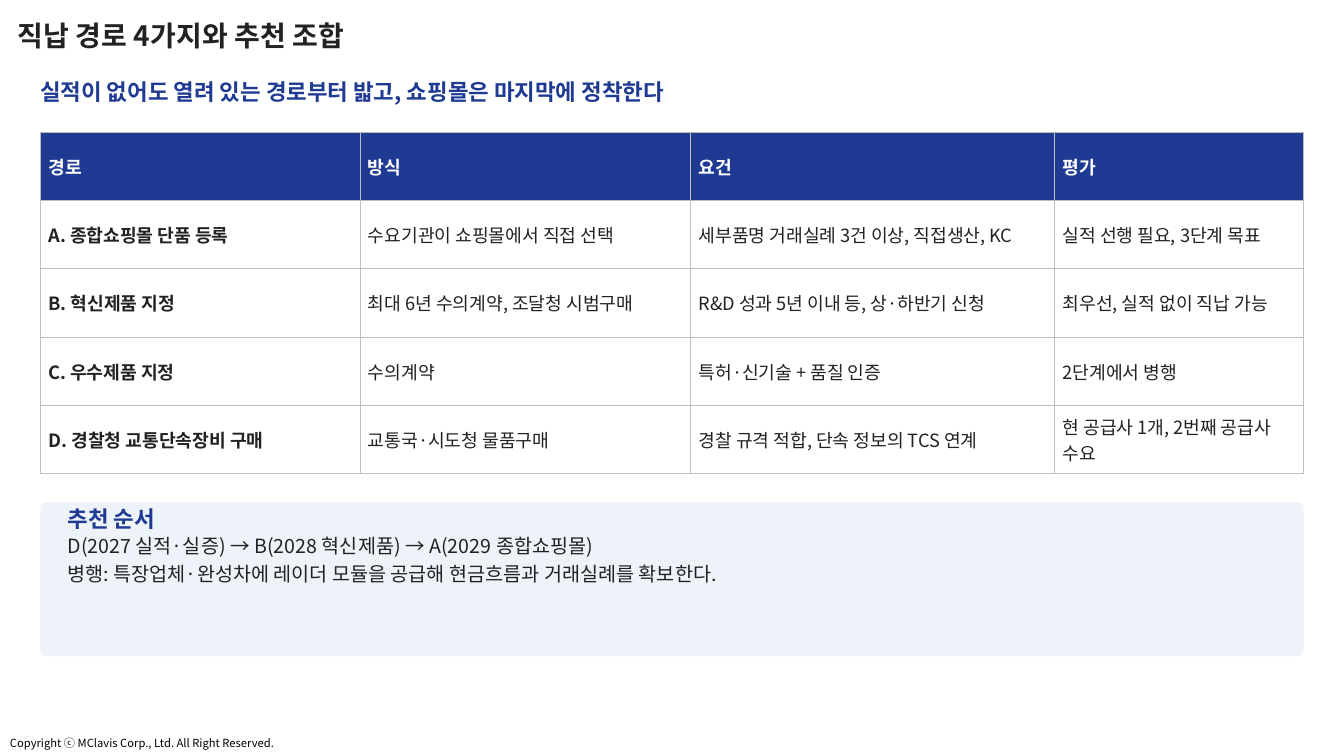
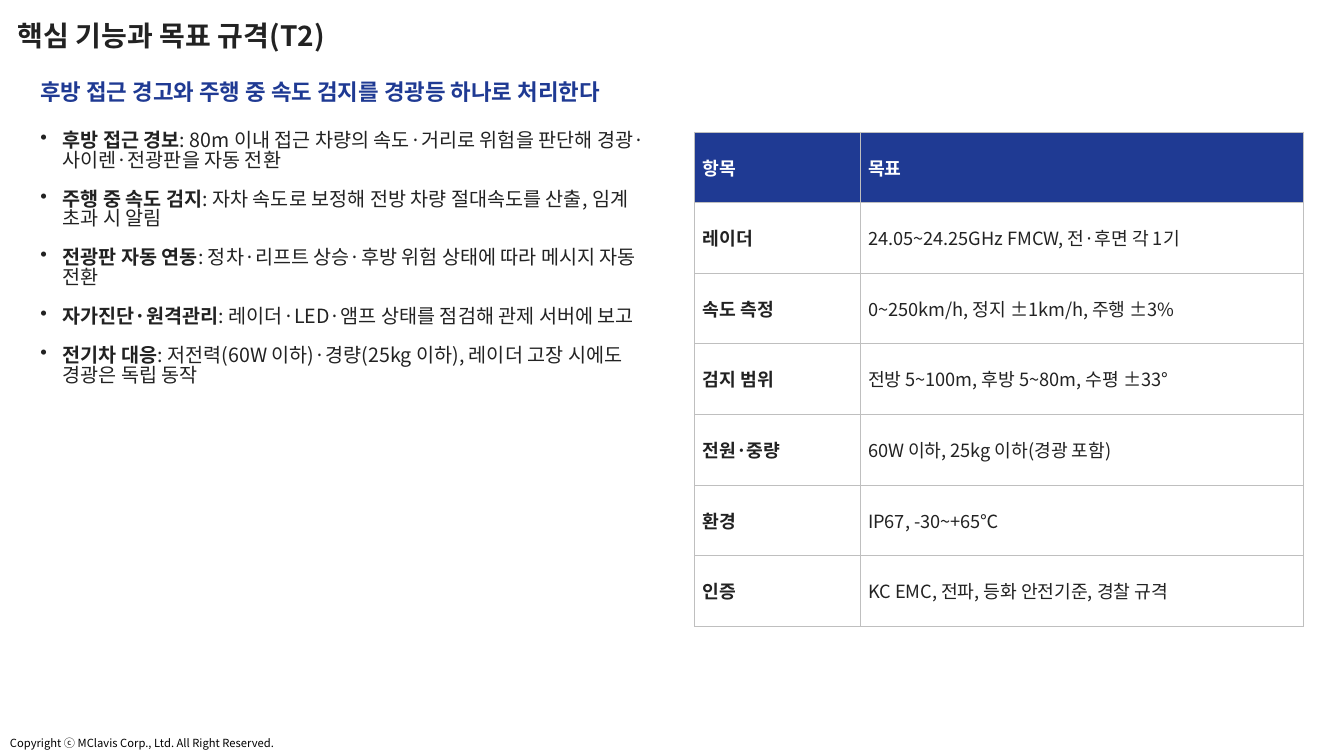
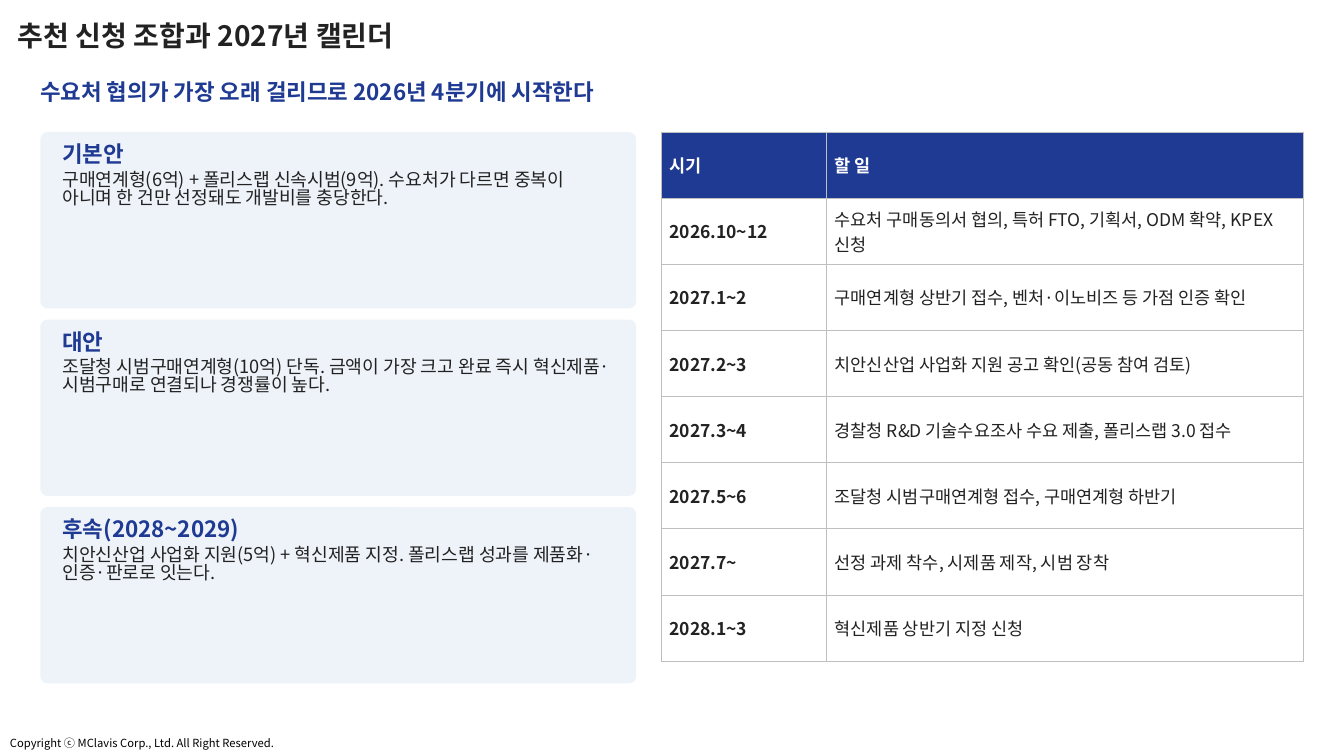
from dataclasses import dataclass

from lxml import etree
from pptx import Presentation
from pptx.dml.color import RGBColor
from pptx.enum.shapes import MSO_SHAPE
from pptx.enum.text import MSO_ANCHOR, MSO_AUTO_SIZE
from pptx.oxml.ns import qn
from pptx.slide import Slide
from pptx.text.text import TextFrame, _Paragraph
from pptx.util import Inches, Pt

ROUNDED = MSO_SHAPE.ROUNDED_RECTANGLE
TOP, MIDDLE = MSO_ANCHOR.TOP, MSO_ANCHOR.MIDDLE
GROW, FIXED = MSO_AUTO_SIZE.SHAPE_TO_FIT_TEXT, MSO_AUTO_SIZE.NONE

# Shared look
FONT = "Noto Sans CJK KR"
NAVY, INK, WHITE, BLACK = "1F3A93", "222222", "FFFFFF", "000000"
PANEL, GRID = "EEF3FA", "BFBFBF"
LEFT, BODY_TOP, FULL_WIDTH = 0.4, 1.31, 12.53
TIGHT = 0.83
COPYRIGHT = "Copyright ⓒ MClavis Corp., Ltd. All Right Reserved."


@dataclass
class Box:
    left: float
    top: float
    width: float
    height: float

    def lengths(self) -> tuple:
        return tuple(Inches(v) for v in (self.left, self.top, self.width, self.height))


@dataclass
class Line:
    text: str
    size: float
    after: float
    color: str = INK
    bold: bool = False


@dataclass
class Feature:
    name: str
    detail: str


@dataclass
class Plan:
    heading: str
    detail: str


def rgb(value: str) -> RGBColor:
    return RGBColor.from_string(value)


def add_run(paragraph: _Paragraph, text: str, *, size: float, color: str = INK,
            bold: bool = False) -> None:
    run = paragraph.add_run()
    run.text = text
    run.font.size = Pt(size)
    run.font.bold = bold
    run.font.name = FONT
    run.font.color.rgb = rgb(color)
    east_asian = etree.SubElement(run._r.get_or_add_rPr(), qn("a:ea"))
    east_asian.set("typeface", FONT)


def add_frame(slide: Slide, box: Box, *, inset: bool = False, wrap: bool = True,
              anchor: MSO_ANCHOR = TOP, fit: MSO_AUTO_SIZE = FIXED) -> TextFrame:
    frame = slide.shapes.add_textbox(*box.lengths()).text_frame
    frame.word_wrap = wrap
    frame.auto_size = fit
    frame.vertical_anchor = anchor
    if not inset:
        frame.margin_left = frame.margin_right = 0
        frame.margin_top = frame.margin_bottom = 0
    return frame


def next_paragraph(frame: TextFrame, index: int) -> _Paragraph:
    return frame.add_paragraph() if index else frame.paragraphs[0]


def write_lines(frame: TextFrame, lines: list[Line]) -> None:
    for index, line in enumerate(lines):
        paragraph = next_paragraph(frame, index)
        paragraph.line_spacing = TIGHT
        paragraph.space_after = Pt(line.after)
        add_run(paragraph, line.text, size=line.size, color=line.color, bold=line.bold)


def start_slide(prs: Presentation, title: str, message: str) -> Slide:
    slide = prs.slides.add_slide(prs.slide_layouts[6])
    footer = add_frame(slide, Box(0, 7.26, 2.83, 0.24), inset=True, wrap=False, fit=GROW)
    add_run(footer.paragraphs[0], COPYRIGHT, size=8, color=BLACK)
    heading = add_frame(slide, Box(0.08, 0.18, 11.5, 0.39), inset=True, anchor=MIDDLE)
    heading.paragraphs[0].line_spacing = 0.9
    add_run(heading.paragraphs[0], title, size=20, bold=True)
    lead = add_frame(slide, Box(LEFT, 0.7, FULL_WIDTH, 0.46), anchor=MIDDLE)
    write_lines(lead, [Line(message, 16, 4, NAVY, True)])
    return slide


def add_panel(slide: Slide, box: Box, pad_x: float, pad_top: float, pad_bottom: float,
              lines: list[Line]) -> None:
    panel = slide.shapes.add_shape(ROUNDED, *box.lengths())
    panel.adjustments[0] = 0.04
    panel.shadow.inherit = False
    panel.fill.solid()
    panel.fill.fore_color.rgb = rgb(PANEL)
    panel.line.fill.background()
    inner = Box(box.left + pad_x, box.top + pad_top,
                box.width - 2 * pad_x, box.height - pad_top - pad_bottom)
    write_lines(add_frame(slide, inner), lines)


def add_borders(cell) -> None:
    properties = cell._tc.get_or_add_tcPr()
    for position, side in enumerate(("lnL", "lnR", "lnT", "lnB")):
        border = etree.Element(qn(f"a:{side}"), w=str(Pt(0.5)))
        fill = etree.SubElement(border, qn("a:solidFill"))
        etree.SubElement(fill, qn("a:srgbClr"), val=GRID)
        properties.insert(position, border)


def add_grid(slide: Slide, left: float, height: float, widths: list[float],
             rows: list[tuple[str, ...]], size: float = 13) -> None:
    box = Box(left, BODY_TOP, sum(widths), height)
    table = slide.shapes.add_table(len(rows), len(widths), *box.lengths()).table
    table.first_row = table.horz_banding = False
    for column, width in zip(table.columns, widths):
        column.width = Inches(width)
    for r, row in enumerate(rows):
        table.rows[r].height = Inches(height / len(rows))
        for c, text in enumerate(row):
            cell = table.cell(r, c)
            cell.vertical_anchor = MIDDLE
            cell.margin_left = cell.margin_right = Inches(0.08)
            cell.margin_top = cell.margin_bottom = Inches(0.04)
            cell.fill.solid()
            cell.fill.fore_color.rgb = rgb(WHITE if r else NAVY)
            add_borders(cell)
            add_run(cell.text_frame.paragraphs[0], text, size=size,
                    color=INK if r else WHITE, bold=r == 0 or c == 0)


def add_features(slide: Slide, box: Box, features: list[Feature]) -> None:
    frame = add_frame(slide, box)
    for index, feature in enumerate(features):
        paragraph = next_paragraph(frame, index)
        properties = paragraph._p.get_or_add_pPr()
        properties.set("marL", str(Inches(0.22)))
        properties.set("indent", str(-Inches(0.22)))
        etree.SubElement(properties, qn("a:buChar"), char="•")
        paragraph.line_spacing = TIGHT
        paragraph.space_after = Pt(14)
        add_run(paragraph, feature.name, size=14, bold=True)
        add_run(paragraph, f": {feature.detail}", size=14)


# Slide 1: supply routes
ROUTES = [
    ("경로", "방식", "요건", "평가"),
    ("A. 종합쇼핑몰 단품 등록", "수요기관이 쇼핑몰에서 직접 선택",
     "세부품명 거래실례 3건 이상, 직접생산, KC", "실적 선행 필요, 3단계 목표"),
    ("B. 혁신제품 지정", "최대 6년 수의계약, 조달청 시범구매",
     "R&D 성과 5년 이내 등, 상·하반기 신청", "최우선, 실적 없이 직납 가능"),
    ("C. 우수제품 지정", "수의계약", "특허·신기술 + 품질 인증", "2단계에서 병행"),
    ("D. 경찰청 교통단속장비 구매", "교통국·시도청 물품구매",
     "경찰 규격 적합, 단속 정보의 TCS 연계", "현 공급사 1개, 2번째 공급사 수요"),
]
ROUTE_ORDER = [
    Line("추천 순서", 16, 4, NAVY, True),
    Line("D(2027 실적·실증) → B(2028 혁신제품) → A(2029 종합쇼핑몰)", 14, 6),
    Line("병행: 특장업체·완성차에 레이더 모듈을 공급해 현금흐름과 거래실례를 확보한다.", 14, 6),
]

# Slide 2: features and target specification
FEATURES = [
    Feature("후방 접근 경보",
            "80m 이내 접근 차량의 속도·거리로 위험을 판단해 경광·사이렌·전광판을 자동 전환"),
    Feature("주행 중 속도 검지",
            "자차 속도로 보정해 전방 차량 절대속도를 산출, 임계 초과 시 알림"),
    Feature("전광판 자동 연동", "정차·리프트 상승·후방 위험 상태에 따라 메시지 자동 전환"),
    Feature("자가진단·원격관리", "레이더·LED·앰프 상태를 점검해 관제 서버에 보고"),
    Feature("전기차 대응",
            "저전력(60W 이하)·경량(25kg 이하), 레이더 고장 시에도 경광은 독립 동작"),
]
TARGETS = [
    ("항목", "목표"),
    ("레이더", "24.05~24.25GHz FMCW, 전·후면 각 1기"),
    ("속도 측정", "0~250km/h, 정지 ±1km/h, 주행 ±3%"),
    ("검지 범위", "전방 5~100m, 후방 5~80m, 수평 ±33°"),
    ("전원·중량", "60W 이하, 25kg 이하(경광 포함)"),
    ("환경", "IP67, -30~+65℃"),
    ("인증", "KC EMC, 전파, 등화 안전기준, 경찰 규격"),
]

# Slide 3: application plans and calendar
PLANS = [
    Plan("기본안", "구매연계형(6억) + 폴리스랩 신속시범(9억). "
         "수요처가 다르면 중복이 아니며 한 건만 선정돼도 개발비를 충당한다."),
    Plan("대안", "조달청 시범구매연계형(10억) 단독. "
         "금액이 가장 크고 완료 즉시 혁신제품·시범구매로 연결되나 경쟁률이 높다."),
    Plan("후속(2028~2029)", "치안신산업 사업화 지원(5억) + 혁신제품 지정. "
         "폴리스랩 성과를 제품화·인증·판로로 잇는다."),
]
CALENDAR = [
    ("시기", "할 일"),
    ("2026.10~12", "수요처 구매동의서 협의, 특허 FTO, 기획서, ODM 확약, KPEX 신청"),
    ("2027.1~2", "구매연계형 상반기 접수, 벤처·이노비즈 등 가점 인증 확인"),
    ("2027.2~3", "치안신산업 사업화 지원 공고 확인(공동 참여 검토)"),
    ("2027.3~4", "경찰청 R&D 기술수요조사 수요 제출, 폴리스랩 3.0 접수"),
    ("2027.5~6", "조달청 시범구매연계형 접수, 구매연계형 하반기"),
    ("2027.7~", "선정 과제 착수, 시제품 제작, 시범 장착"),
    ("2028.1~3", "혁신제품 상반기 지정 신청"),
]
PLAN_HEIGHT, PLAN_GAP = 1.75, 0.11


def build_routes(prs: Presentation) -> None:
    slide = start_slide(prs, "직납 경로 4가지와 추천 조합",
                        "실적이 없어도 열려 있는 경로부터 밟고, 쇼핑몰은 마지막에 정착한다")
    add_grid(slide, LEFT, 3.39, [3.17, 3.28, 3.61, 2.47], ROUTES)
    add_panel(slide, Box(LEFT, 4.98, FULL_WIDTH, 1.53), 0.27, 0.08, 0.08, ROUTE_ORDER)


def build_features(prs: Presentation) -> None:
    slide = start_slide(prs, "핵심 기능과 목표 규격(T2)",
                        "후방 접근 경고와 주행 중 속도 검지를 경광등 하나로 처리한다")
    add_features(slide, Box(LEFT, BODY_TOP, 6.12, 5.47), FEATURES)
    add_grid(slide, 6.89, 4.9, [1.64, 4.4], TARGETS)


def build_calendar(prs: Presentation) -> None:
    slide = start_slide(prs, "추천 신청 조합과 2027년 캘린더",
                        "수요처 협의가 가장 오래 걸리므로 2026년 4분기에 시작한다")
    for index, plan in enumerate(PLANS):
        top = BODY_TOP + index * (PLAN_HEIGHT + PLAN_GAP)
        add_panel(slide, Box(LEFT, top, 5.91, PLAN_HEIGHT), 0.22, 0.13, 0.09,
                  [Line(plan.heading, 16, 3, NAVY, True), Line(plan.detail, 13, 4)])
    add_grid(slide, 6.56, 5.25, [1.64, 4.73], CALENDAR, size=12.5)


def main() -> None:
    prs = Presentation()
    prs.slide_width, prs.slide_height = Inches(13.33), Inches(7.5)
    build_routes(prs)
    build_features(prs)
    build_calendar(prs)
    prs.save("out.pptx")


if __name__ == "__main__":
    main()
